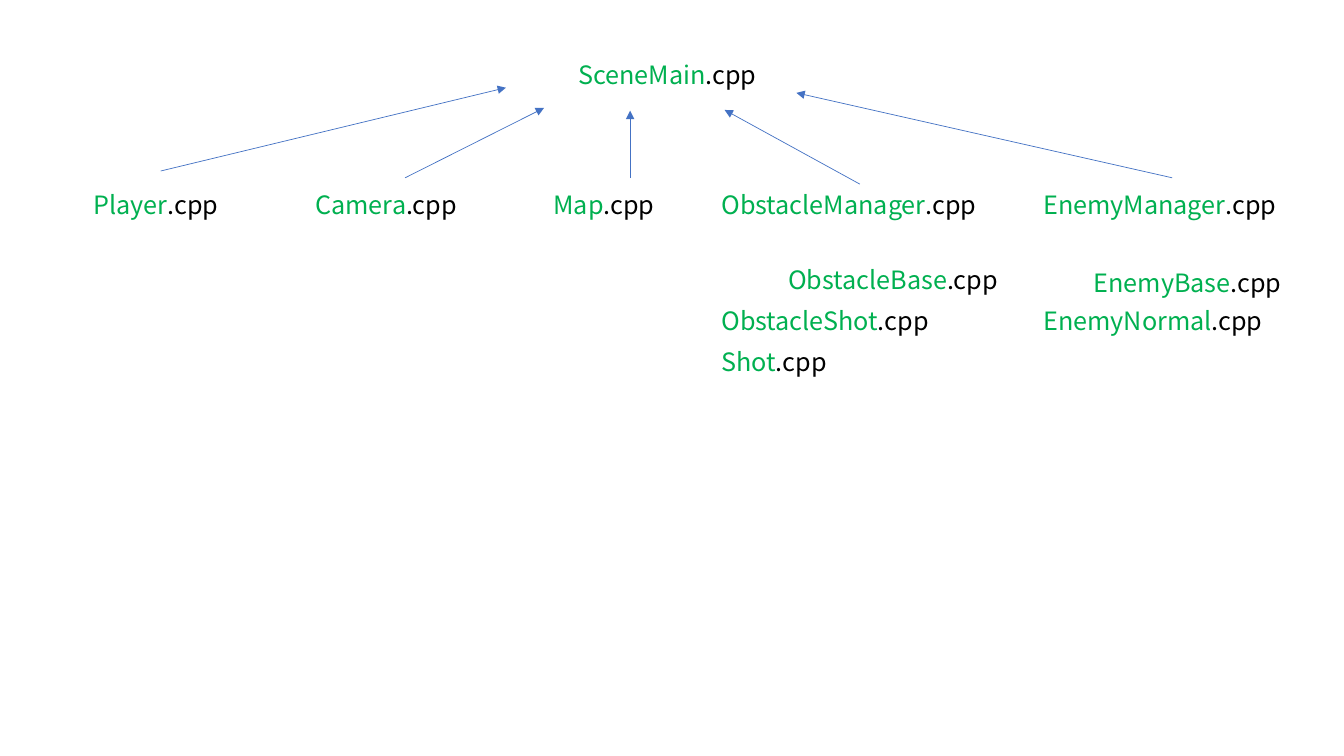
from lxml import etree
from pptx import Presentation
from pptx.dml.color import RGBColor
from pptx.enum.shapes import MSO_CONNECTOR
from pptx.enum.text import MSO_AUTO_SIZE
from pptx.oxml.ns import qn
from pptx.util import Cm, Pt

STRAIGHT = MSO_CONNECTOR.STRAIGHT
FIT_SHAPE = MSO_AUTO_SIZE.SHAPE_TO_FIT_TEXT
FONT = "Noto Sans CJK JP"
GREEN, BLACK, BLUE = "00B050", "000000", "4472C4"
LABEL_HEIGHT = 1.02

# Left edges of the columns and tops of the rows, in centimetres
PLAYER, CAMERA, MAP, OBSTACLE, ENEMY = 2.11, 7.7, 13.7, 17.93, 26.04
MANAGER_ROW, DERIVED_ROW, SHOT_ROW = 4.65, 7.57, 8.59


def color(hex_string):
    return RGBColor.from_string(hex_string)


presentation = Presentation()
presentation.slide_width = Cm(33.87)
presentation.slide_height = Cm(19.05)
slide = presentation.slides.add_slide(presentation.slide_layouts[6])

# Source files: class name, left, top, width
source_files = [
    ("SceneMain", 14.32, 1.37, 5.23),
    ("Player", PLAYER, MANAGER_ROW, 3.89),
    ("Camera", CAMERA, MANAGER_ROW, 4.24),
    ("Map", MAP, MANAGER_ROW, 3.15),
    ("ObstacleManager", OBSTACLE, MANAGER_ROW, 7.48),
    ("EnemyManager", ENEMY, MANAGER_ROW, 6.63),
    ("ObstacleBase", 19.61, 6.53, 6.2),
    ("ObstacleShot", OBSTACLE, DERIVED_ROW, 6.22),
    ("Shot", OBSTACLE, SHOT_ROW, 3.35),
    ("EnemyBase", 27.31, 6.62, 5.36),
    ("EnemyNormal", ENEMY, DERIVED_ROW, 6.17),
]
for class_name, left, top, width in source_files:
    label = slide.shapes.add_textbox(Cm(left), Cm(top), Cm(width), Cm(LABEL_HEIGHT))
    label.text_frame.word_wrap = False
    label.text_frame.auto_size = FIT_SHAPE
    paragraph = label.text_frame.paragraphs[0]
    for text, text_color in ((class_name, GREEN), (".cpp", BLACK)):
        run = paragraph.add_run()
        run.text = text
        run.font.name = FONT
        run.font.size = Pt(18)
        run.font.color.rgb = color(text_color)

# Arrows to SceneMain: start x, start y, end x, end y
arrows = [
    (4.05, 4.31, 12.75, 2.21),
    (10.21, 4.48, 13.71, 2.72),
    (15.88, 4.49, 15.88, 2.79),
    (21.67, 4.64, 18.26, 2.77),
    (29.54, 4.48, 20.07, 2.34),
]
for ends in arrows:
    arrow = slide.shapes.add_connector(STRAIGHT, *(Cm(value) for value in ends))
    arrow.line.color.rgb = color(BLUE)
    arrow.line.width = Pt(0.5)
    properties = arrow._element.spPr
    etree.SubElement(properties.find(qn("a:ln")), qn("a:tailEnd"), type="triangle")
    etree.SubElement(properties, qn("a:effectLst"))

presentation.save("out.pptx")
